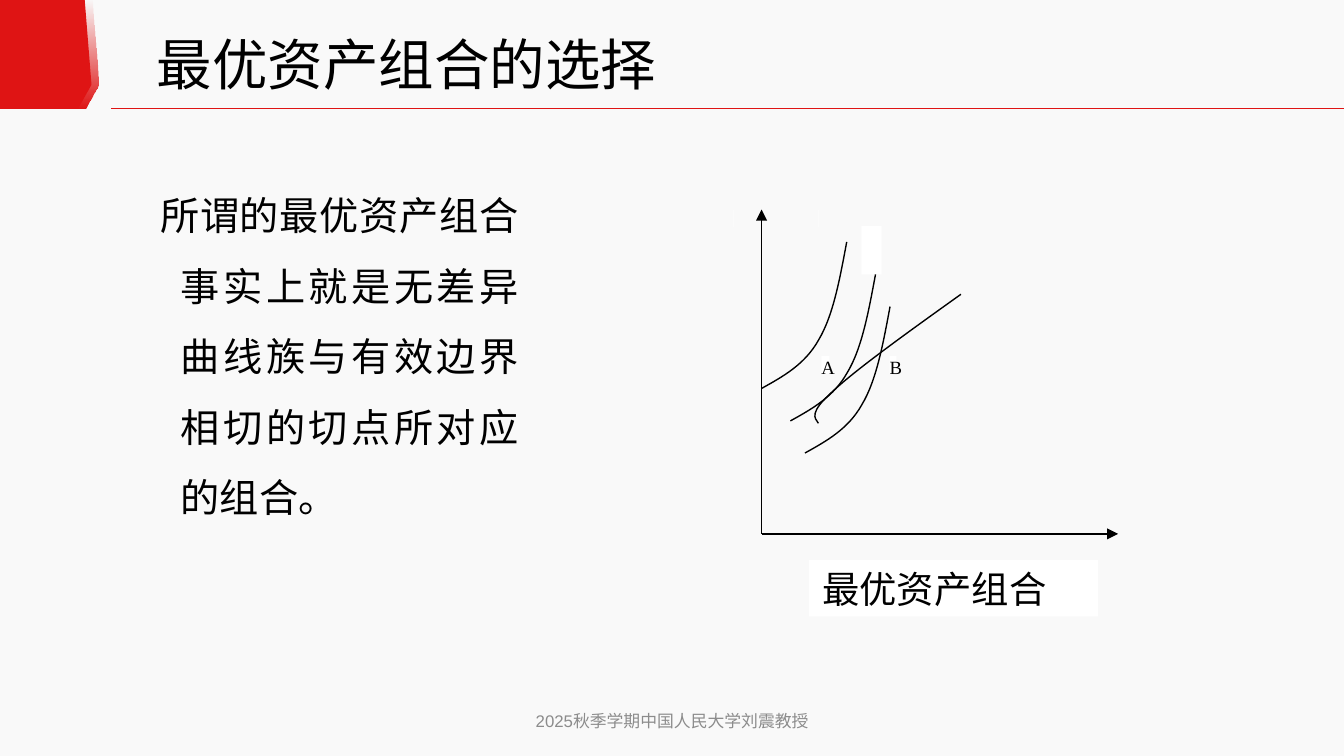
from dataclasses import dataclass

import lxml.etree
import pptx
import pptx.dml.color
import pptx.enum.shapes
import pptx.enum.text
import pptx.oxml
import pptx.oxml.ns
import pptx.util

Pt = pptx.util.Pt
RGB = pptx.dml.color.RGBColor.from_string
ALIGN = pptx.enum.text.PP_ALIGN
ANCHOR = pptx.enum.text.MSO_ANCHOR
RECTANGLE = pptx.enum.shapes.MSO_SHAPE.RECTANGLE
STRAIGHT = pptx.enum.shapes.MSO_CONNECTOR.STRAIGHT
qn = pptx.oxml.ns.qn


@dataclass(frozen=True)
class Theme:
    background = RGB("F9F9F9")
    accent = RGB("DF1414")
    ink = RGB("000000")
    muted = RGB("8C8C8C")
    patch = RGB("FFFFFF")
    chinese_font = "Noto Sans CJK SC"
    footer_font = "Arial"
    diagram_font = "Times New Roman"
    title_size = 29.7
    body_size = 21
    caption_size = 20
    label_size = 10
    footer_size = 9
    line_width = 0.75


theme = Theme()


def write_text(shape, text, size, font, color, align, inset=(7.2, 3.6), wrap=True):
    """Fill a shape with one paragraph and return that paragraph."""
    frame = shape.text_frame
    frame.word_wrap = wrap
    frame.vertical_anchor = ANCHOR.MIDDLE
    frame.margin_left = frame.margin_right = Pt(inset[0])
    frame.margin_top = frame.margin_bottom = Pt(inset[1])
    paragraph = frame.paragraphs[0]
    paragraph.alignment = align
    run = paragraph.add_run()
    run.text = text
    run.font.size = Pt(size)
    run.font.name = font
    run.font.color.rgb = color
    east_asian = pptx.oxml.parse_xml(
        f'<a:ea {pptx.oxml.ns.nsdecls("a")} typeface="{theme.chinese_font}"/>')
    run.font._element.find(qn("a:latin")).addnext(east_asian)
    return paragraph


def add_outline(points, close):
    (x, y), *rest = [(Pt(x), Pt(y)) for x, y in points]
    builder = slide.shapes.build_freeform(x, y)
    builder.add_line_segments(rest, close=close)
    shape = builder.convert_to_shape()
    shape.shadow.inherit = False
    return shape


presentation = pptx.Presentation()
presentation.slide_width = Pt(720)
presentation.slide_height = Pt(405)
slide = presentation.slides.add_slide(presentation.slide_layouts[6])
slide.background.fill.solid()
slide.background.fill.fore_color.rgb = theme.background

# Corner tab: a fading layer behind a solid one
tab = [(0, 0), (45.4, 0), (49, 45.4), (41.8, 58.3), (0, 58.3)]
fading_tab = add_outline([(x + 3.6, y) for x, y in tab], close=True)
fading_tab.fill.gradient()
fading_tab.fill.gradient_angle = 90
for stop in fading_tab.fill.gradient_stops:
    stop.color.rgb = theme.accent
last_color = fading_tab._element.spPr.findall(".//" + qn("a:srgbClr"))[-1]
lxml.etree.SubElement(last_color, qn("a:alpha"), val="0")
fading_tab.line.fill.background()
solid_tab = add_outline(tab, close=True)
solid_tab.fill.solid()
solid_tab.fill.fore_color.rgb = theme.accent
solid_tab.line.fill.background()

# Title, body and footer
title = slide.shapes.add_textbox(Pt(59), Pt(15), Pt(318), Pt(38))
write_text(title, "最优资产组合的选择", theme.title_size, theme.chinese_font,
           theme.ink, ALIGN.CENTER)

body = slide.shapes.add_textbox(Pt(67.7), Pt(86.4), Pt(217.4), Pt(260.6))
body_paragraph = write_text(
    body, "所谓的最优资产组合事实上就是无差异曲线族与有效边界相切的切点所对应的组合。",
    theme.body_size, theme.chinese_font, theme.ink, ALIGN.JUSTIFY)
body.text_frame.vertical_anchor = ANCHOR.TOP
body_paragraph.line_spacing = Pt(37.8)
body_properties = body_paragraph._p.get_or_add_pPr()
body_properties.set("marL", str(Pt(22)))
body_properties.set("indent", str(-Pt(11)))

footer = slide.shapes.add_textbox(Pt(246), Pt(375.5), Pt(228), Pt(21.6))
write_text(footer, "2025秋季学期中国人民大学刘震教授", theme.footer_size,
           theme.footer_font, theme.muted, ALIGN.CENTER)

# White patches of the diagram: caption, curve labels and empty ones
for text, left, top, width, height, size, inset in [
    ("最优资产组合", 433.4, 300, 154.8, 30.2, theme.caption_size, (7.2, 3.6)),
    ("A", 440, 190.8, 4.3, 9.4, theme.label_size, (0, 0)),
    ("B", 476.6, 190.8, 3.6, 9.4, theme.label_size, (0, 0)),
    ("", 461.5, 121, 10.8, 26, None, None),
    ("", 583.9, 294.5, 0, 9.4, None, None),
    ("", 393.1, 112.3, 0, 9.4, None, None),
    ("", 438.5, 112.3, 0, 9.4, None, None),
    ("", 476.6, 138.2, 0, 9.4, None, None),
]:
    patch = slide.shapes.add_shape(RECTANGLE, Pt(left), Pt(top), Pt(width), Pt(height))
    patch.shadow.inherit = False
    patch.fill.solid()
    patch.fill.fore_color.rgb = theme.patch
    patch.line.fill.background()
    if text:
        is_label = len(text) == 1
        write_text(patch, text, size, theme.diagram_font, theme.ink,
                   ALIGN.JUSTIFY, inset, wrap=not is_label)
        if is_label:
            patch.text_frame.vertical_anchor = ANCHOR.TOP

# Title rule and the two axes
origin = (408, 286)
for start, end, color, arrow in [
    ((59.5, 58.1), (720, 58.1), theme.accent, False),
    (origin, (599, 286), theme.ink, True),
    (origin, (408, 112.3), theme.ink, True),
]:
    line = slide.shapes.add_connector(STRAIGHT, *map(Pt, start + end))
    line.line.color.rgb = color
    line.line.width = Pt(theme.line_width)
    if arrow:
        lxml.etree.SubElement(line.line._get_or_add_ln(), qn("a:tailEnd"), type="triangle")
    lxml.etree.SubElement(line._element.spPr, qn("a:effectLst"))

# Each curve is two cubic Bezier pieces: a start, then three points per piece
indifference = [(408, 208.1), (419.8, 201.6), (431.3, 195.1), (438.5, 182.2),
                (446.4, 169.2), (450, 149), (453.6, 129.6)]
frontier = [(438.5, 226.8), (436.3, 223.9), (433.4, 221), (446.4, 209.5),
            (458.6, 198), (486.7, 177.8), (514.8, 157.7)]
curves = [[(x + right, y + down) for x, y in indifference]
          for right, down in [(0, 0), (15.4, 17.4), (23.2, 34.6)]]
curves.append(frontier)
for curve in curves:
    outline = add_outline(curve, close=False)
    outline.fill.background()
    outline.line.color.rgb = theme.ink
    outline.line.width = Pt(theme.line_width)
    outline_path = outline._element.spPr.find(".//" + qn("a:path"))
    segments = outline_path.findall(qn("a:lnTo"))
    for first in (0, 3):
        bezier = lxml.etree.SubElement(outline_path, qn("a:cubicBezTo"))
        for segment in segments[first:first + 3]:
            bezier.append(segment[0])
            outline_path.remove(segment)

presentation.save("out.pptx")
